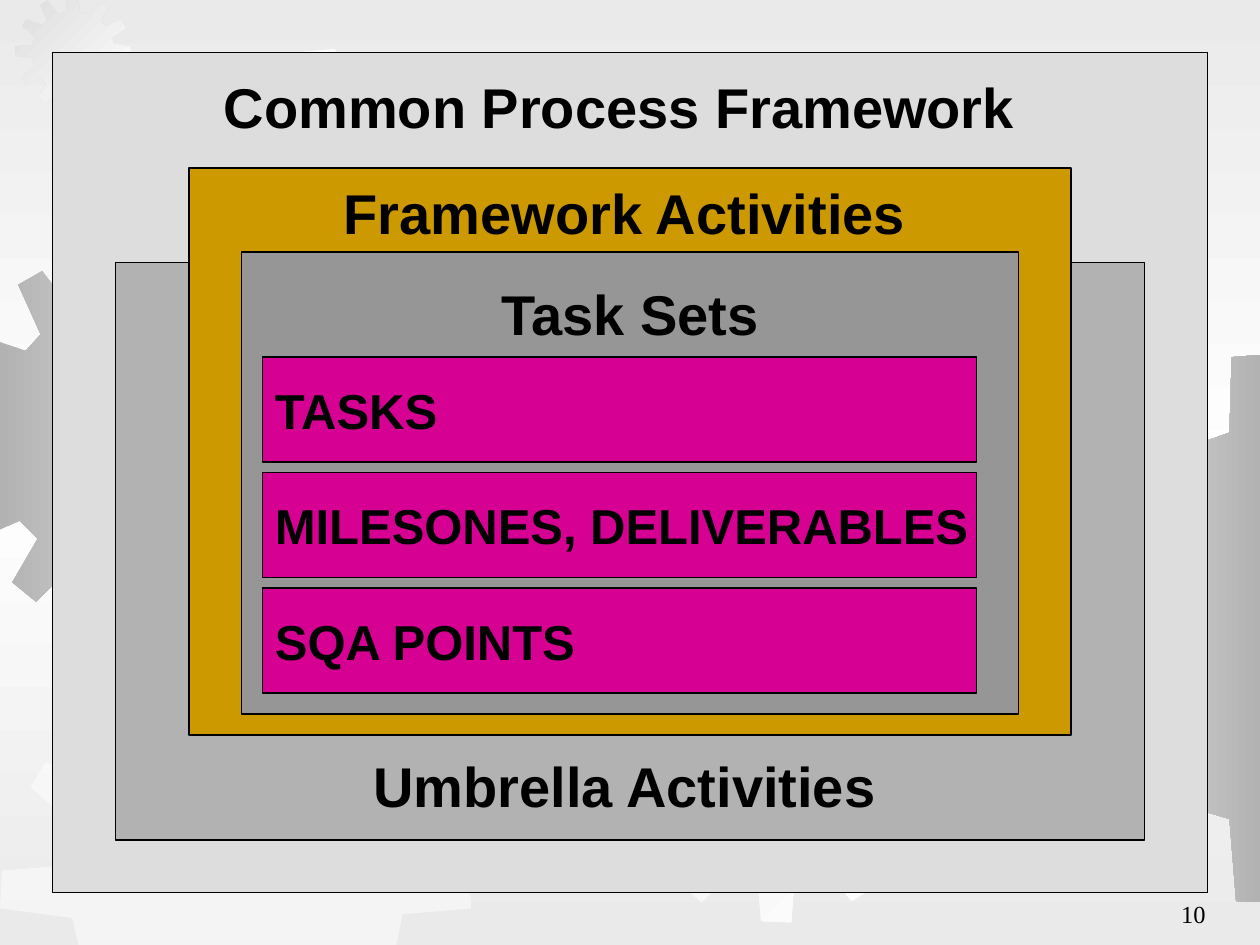
from dataclasses import dataclass
from lxml.etree import SubElement
from pptx import Presentation
from pptx.dml.color import RGBColor as RGB
from pptx.enum.shapes import MSO_SHAPE as Preset
from pptx.enum.text import MSO_ANCHOR as Anchor, PP_ALIGN as Align
from pptx.oxml.ns import qn
from pptx.util import Pt

WIDTH, HEIGHT = 720, 540
COLORS = {
    "black": "000000", "white": "FFFFFF", "mist": "EAEAEA", "panel": "DDDDDD",
    "umbrella": "B2B2B2", "framework": "CC9900", "task_set": "969696",
    "task": "D60093",
}
# Gear outline on a square grid of 248 units
GEAR_GRID = 248
GEAR_OUTLINE = [
    (158, 41), (138, 36), (136, 0), (111, 2), (110, 36), (93, 42),
    (70, 12), (54, 21), (69, 54), (59, 65), (24, 53), (16, 66),
    (42, 89), (38, 107), (1, 110), (0, 130), (38, 135), (42, 152),
    (14, 177), (24, 192), (55, 178), (67, 190), (50, 219), (66, 232),
    (93, 205), (110, 210), (113, 247), (137, 248), (140, 209), (161, 204),
    (185, 231), (201, 221), (185, 189), (196, 175), (228, 191), (238, 174),
    (208, 152), (212, 133), (248, 130), (247, 111), (211, 105), (207, 91),
    (237, 71), (227, 53), (194, 67), (183, 56), (200, 25), (184, 15),
]


@dataclass
class Gear:
    left: float
    top: float
    size: float
    colors: tuple[str, ...]
    angle: int = 0


@dataclass
class Panel:
    left: float
    top: float
    width: float
    height: float
    color: str
    text: str = ""


@dataclass
class Label:
    text: str
    left: float
    top: float
    width: float
    height: float = 46
    size: int = 32
    font: str = "Arial"
    bold: bool = True
    align: Align = Align.CENTER
    anchor: Anchor = Anchor.TOP


def color(name: str) -> RGB:
    return RGB.from_string(COLORS[name])


def paint_gradient(fill, owner, names: tuple[str, ...], angle: int) -> None:
    """Spread the named colours evenly, with the angle clockwise."""
    fill.gradient()
    gradient = next(owner.iter(qn("a:gradFill")))
    stops = gradient.find(qn("a:gsLst"))
    for stop in list(stops):
        stops.remove(stop)
    for i, name in enumerate(names):
        stop = SubElement(stops, qn("a:gs"), pos=str(100000 * i // (len(names) - 1)))
        SubElement(stop, qn("a:srgbClr"), val=COLORS[name])
    gradient.find(qn("a:lin")).set("ang", str(angle * 60000))


def clip(points: list, axis: int, limit: float, sign: int) -> list:
    """Keep the part of the outline on one side of a slide edge."""
    kept = []
    for start, end in zip(points[-1:] + points[:-1], points):
        before, after = (sign * (p[axis] - limit) for p in (start, end))
        if before * after < 0:
            share = before / (before - after)
            kept.append(tuple(a + share * (b - a) for a, b in zip(start, end)))
        if after >= 0:
            kept.append(end)
    return kept


def draw_gear(slide, gear: Gear) -> None:
    scale = gear.size / GEAR_GRID
    points = [(gear.left + x * scale, gear.top + y * scale) for x, y in GEAR_OUTLINE]
    for axis, limit, sign in ((0, 0, 1), (0, WIDTH, -1), (1, 0, 1), (1, HEIGHT, -1)):
        points = clip(points, axis, limit, sign)
    corners = [(Pt(x), Pt(y)) for x, y in points]
    builder = slide.shapes.build_freeform(*corners[0], scale=1.0)
    builder.add_line_segments(corners[1:], close=True)
    shape = builder.convert_to_shape()
    shape.shadow.inherit = False
    shape.line.fill.background()
    if len(gear.colors) > 1:
        paint_gradient(shape.fill, shape.element, gear.colors, gear.angle)
    else:
        shape.fill.solid()
        shape.fill.fore_color.rgb = color(gear.colors[0])
        tint = next(shape.element.spPr.iter(qn("a:srgbClr")))
        SubElement(tint, qn("a:alpha"), val="50000")


def write(shape, label: Label, wrap: bool) -> None:
    frame = shape.text_frame
    frame.text = label.text
    frame.word_wrap = wrap
    frame.vertical_anchor = label.anchor
    paragraph = frame.paragraphs[0]
    paragraph.alignment = label.align
    font = paragraph.runs[0].font
    font.name, font.size, font.bold = label.font, Pt(label.size), label.bold
    font.color.rgb = color("black")


def draw_panel(slide, panel: Panel) -> None:
    box = (panel.left, panel.top, panel.width, panel.height)
    shape = slide.shapes.add_shape(Preset.RECTANGLE, *map(Pt, box))
    shape.shadow.inherit = False
    shape.fill.solid()
    shape.fill.fore_color.rgb = color(panel.color)
    shape.line.color.rgb = color("black")
    shape.line.width = Pt(0.75)
    if panel.text:
        label = Label(panel.text, *box, size=28, align=Align.LEFT, anchor=Anchor.MIDDLE)
        write(shape, label, wrap=False)


def draw_label(slide, label: Label) -> None:
    box = (label.left, label.top, label.width, label.height)
    write(slide.shapes.add_textbox(*map(Pt, box)), label, wrap=True)


GEARS = [
    Gear(-36, 144.7, 213, ("umbrella", "white")),
    Gear(8.6, -2.9, 66.2, ("panel", "white"), 45),
    Gear(93.6, 28.1, 178.6, ("mist", "white"), 315),
    Gear(0, 378, 269.3, ("white",)),
    Gear(353.5, 348.5, 178.6, ("mist", "white"), 45),
    Gear(563, 201.6, 314.6, ("white", "umbrella")),
]
# Nested levels, from the outside in
LEVELS = [
    Panel(30, 30, 660, 480, "panel"),
    Panel(66, 150, 588, 330, "umbrella"),
    Panel(108, 96, 504, 324, "framework"),
    Panel(138, 144, 444, 264, "task_set"),
]
TASK_TOP, TASK_STEP = 204, 66
TASKS = ["TASKS", "MILESONES, DELIVERABLES", "SQA POINTS"]
LABELS = [
    Label("10", 546, 498, 150, 36, size=14, font="Times New Roman", bold=False,
          align=Align.RIGHT, anchor=Anchor.BOTTOM),
    Label("Common Process Framework", 30, 38, 648),
    Label("Umbrella Activities", 30, 426, 654),
    Label("Framework Activities", 30, 98.5, 654),
    Label("Task Sets", 102, 156, 516),
]


def main() -> None:
    deck = Presentation()
    deck.slide_width, deck.slide_height = Pt(WIDTH), Pt(HEIGHT)
    slide = deck.slides.add_slide(deck.slide_layouts[6])

    # Background with gears
    paint_gradient(slide.background.fill, slide.element, ("mist", "white", "mist"), 90)
    for gear in GEARS:
        draw_gear(slide, gear)

    # Process framework
    for level in LEVELS:
        draw_panel(slide, level)
    for i, task in enumerate(TASKS):
        draw_panel(slide, Panel(150, TASK_TOP + i * TASK_STEP, 408, 60, "task", task))

    # Level names and slide number
    for label in LABELS:
        draw_label(slide, label)
    deck.save("out.pptx")


if __name__ == "__main__":
    main()
